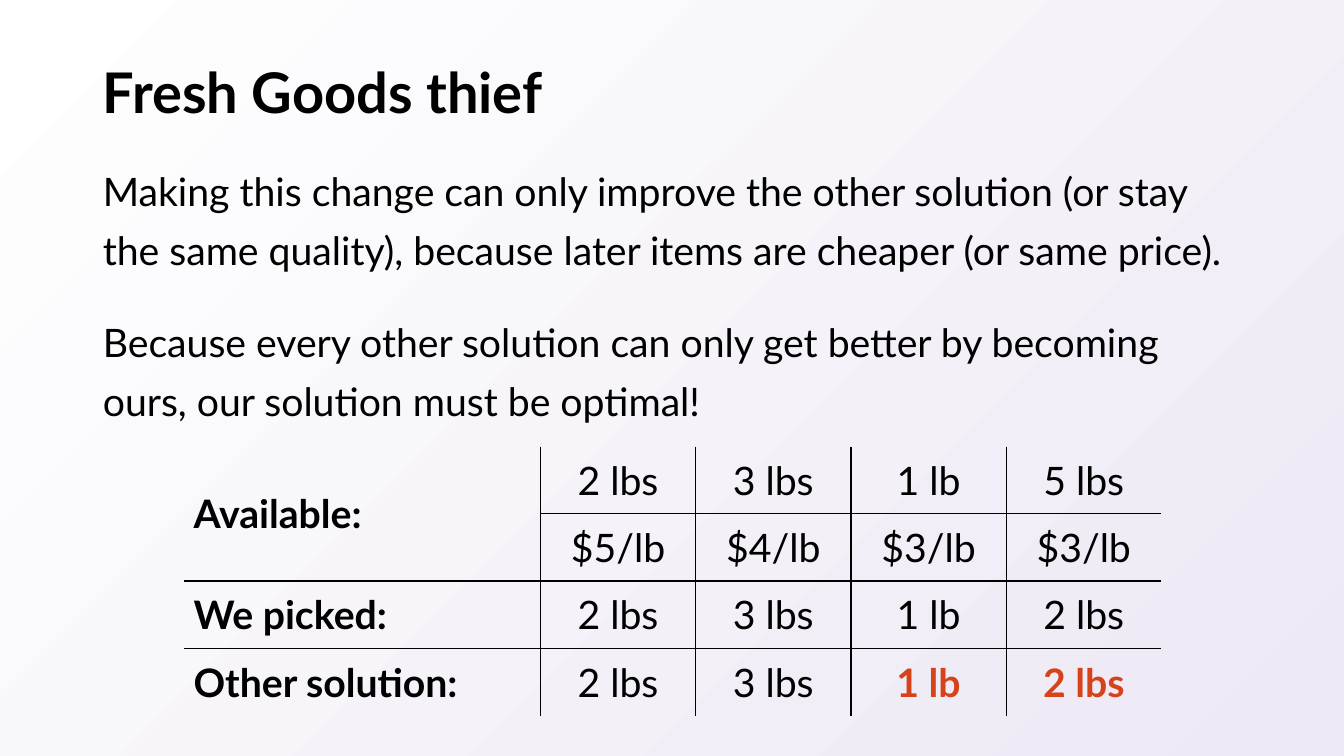
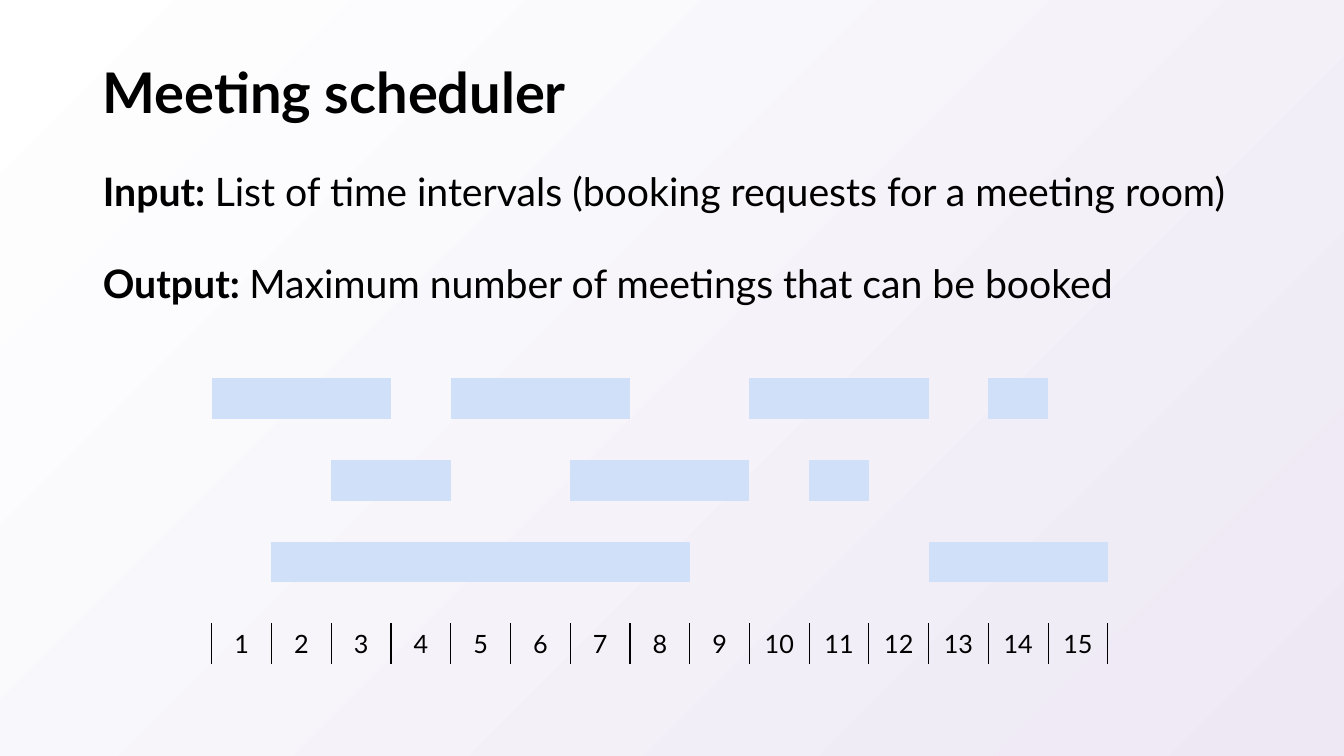
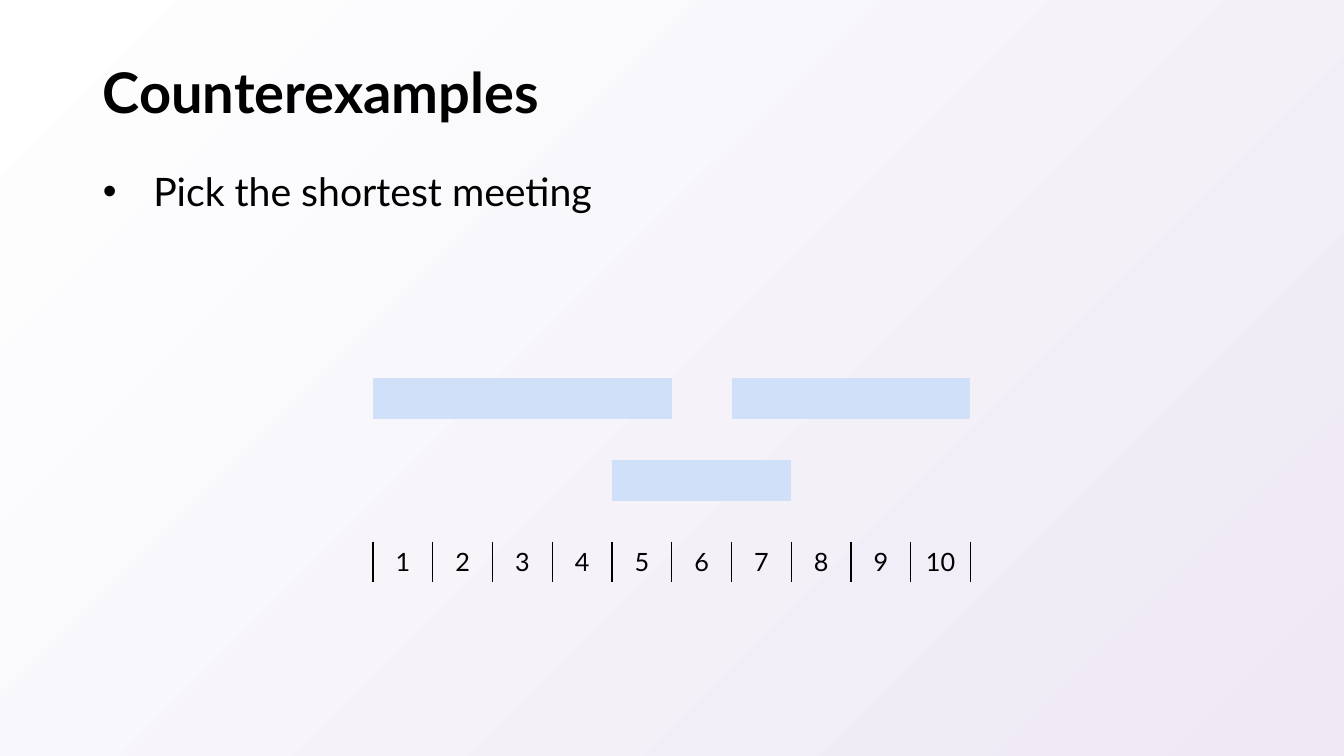
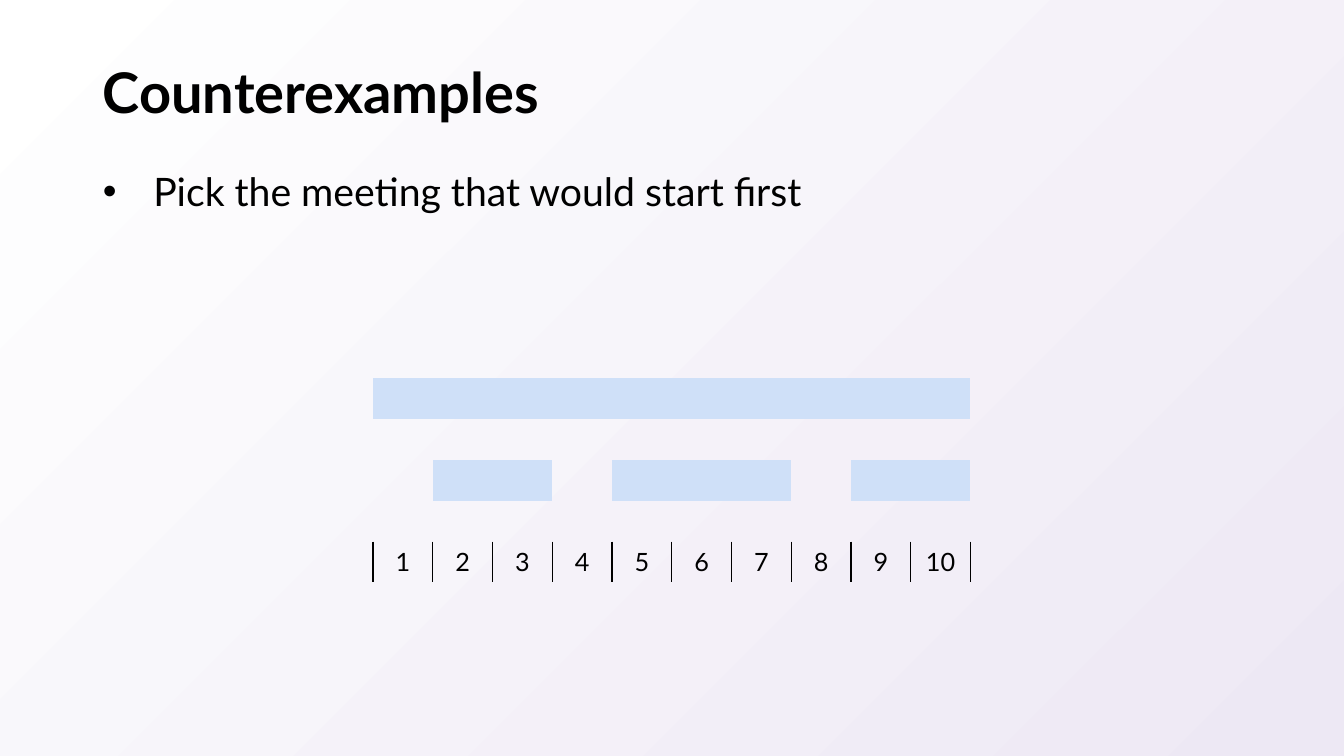
from lxml import etree
from pptx import Presentation
from pptx.dml.color import RGBColor
from pptx.enum import text as t
from pptx.oxml.ns import qn
from pptx.util import Inches, Pt

COLORS = {"ink": "000000", "bar": "CFE0F8", "hot": "D6431A",
          "light": "FFFFFF", "tint": "EDE8F4"}
FONT = "Lato"
PLAIN_TABLE = "{2D5ABB26-0587-4C30-8999-92F81FD0307C}"


def rgb(name):
    return RGBColor.from_string(COLORS[name])


class Deck:
    """Holds the shared style and the current slide."""

    def __init__(self):
        self.prs = Presentation()
        self.prs.slide_width = Inches(13.33)
        self.prs.slide_height = Inches(7.5)
        # Background shared by all slides
        fill = self.prs.slide_master.background.fill
        fill.gradient()
        fill.gradient_angle = 315
        for stop, name, pos in zip(fill.gradient_stops, ("light", "tint"), (0, 1)):
            stop.color.rgb = rgb(name)
            stop.position = pos

    def run(self, para, words, size=28, bold=False, color="ink"):
        run = para.add_run()
        run.text = words
        font = run.font
        font.name, font.size, font.bold = FONT, Pt(size), bold
        font.color.rgb = rgb(color)

    def place(self, shape, top, height):
        shape.left, shape.top = Inches(0.92), Inches(top)
        shape.width, shape.height = Inches(11.5), Inches(height)
        shape.text_frame.auto_size = t.MSO_AUTO_SIZE.NONE
        return shape.text_frame

    def start(self, title):
        self.slide = self.prs.slides.add_slide(self.prs.slide_layouts[1])
        frame = self.place(self.slide.shapes.title, 0.4, 1.09)
        frame.vertical_anchor = t.MSO_ANCHOR.MIDDLE
        para = frame.paragraphs[0]
        para.alignment = t.PP_ALIGN.LEFT
        para.line_spacing = 0.9
        self.run(para, title, 40, True)

    def body(self, items, height=5.26, bullet=False):
        """Each item is a pair: bold lead (may be empty) and plain words."""
        frame = self.place(self.slide.placeholders[1], 1.49, height)
        for i, (lead, words) in enumerate(items):
            para = frame.add_paragraph() if i else frame.paragraphs[0]
            para.line_spacing, para.space_before = 1.25, Pt(24)
            props = para._p.get_or_add_pPr()
            indent = Inches(0.5) if bullet else 0
            props.set("marL", str(indent))
            props.set("indent", str(-indent))
            if bullet:
                etree.SubElement(props, qn("a:buChar")).set("char", "•")
            else:
                etree.SubElement(props, qn("a:buNone"))
            if lead:
                self.run(para, lead, bold=True)
            self.run(para, words)

    def table(self, rows, cols, left, top, width, height):
        frame = self.slide.shapes.add_table(
            rows, cols, Inches(left), Inches(top), Inches(width), Inches(height))
        table = frame.table
        table.first_row = table.horz_banding = False
        table._tbl.tblPr.find(qn("a:tableStyleId")).text = PLAIN_TABLE
        for cell in table.iter_cells():
            cell.fill.background()
        return table

    def edges(self, cell, sides):
        """Draw the given sides, listed in the order L, R, T, B."""
        props = cell._tc.get_or_add_tcPr()
        for i, side in enumerate(sides):
            line = etree.Element(qn("a:ln" + side), w=str(Pt(1)))
            fill = etree.SubElement(line, qn("a:solidFill"))
            etree.SubElement(fill, qn("a:srgbClr")).set("val", COLORS["ink"])
            props.insert(i, line)

    def grid(self, data, hot):
        """Table with inner rules; the first label spans two rows."""
        rows, cols = len(data), len(data[0])
        table = self.table(rows, cols, 1.82, 4.43, 9.7, 2.67)
        for c, col in enumerate(table.columns):
            col.width = Inches(1.54 if c else 3.54)
        table.cell(0, 0).merge(table.cell(1, 0))
        for r, row in enumerate(data):
            for c, words in enumerate(row):
                cell = table.cell(r, c)
                inner = {"L": c > 0, "R": c < cols - 1,
                         "T": r > 0 and not cell.is_spanned, "B": r < rows - 1}
                self.edges(cell, [side for side in inner if inner[side]])
                if cell.is_spanned:
                    continue
                cell.vertical_anchor = t.MSO_ANCHOR.MIDDLE
                cell.margin_left = cell.margin_right = Inches(0.1)
                cell.margin_top = cell.margin_bottom = Inches(0.1)
                para = cell.text_frame.paragraphs[0]
                para.alignment = t.PP_ALIGN.CENTER if c else t.PP_ALIGN.LEFT
                mark = (r, c) in hot
                self.run(para, words, bold=mark or c == 0,
                         color="hot" if mark else "ink")

    def times(self, count, left, lanes):
        """Lanes of (first, last) hours above a numbered scale."""
        rows = 2 * len(lanes) + 1
        table = self.table(rows, count, left, 3.75,
                           count * 8.89 / 15, rows * 2.84 / 7)
        for i, lane in enumerate(lanes):
            for first, last in lane:
                for hour in range(first, last + 1):
                    fill = table.cell(2 * i, hour - 1).fill
                    fill.solid()
                    fill.fore_color.rgb = rgb("bar")
        for c in range(count):
            cell = table.cell(rows - 1, c)
            self.edges(cell, "LR")
            para = cell.text_frame.paragraphs[0]
            para.alignment = t.PP_ALIGN.CENTER
            self.run(para, str(c + 1), 18)


def main():
    deck = Deck()

    # Greedy proof with the table of picks
    deck.start("Fresh Goods thief")
    deck.body([
        ("", "Making this change can only improve the other solution (or stay "
             "the same quality), because later items are cheaper (or same price)."),
        ("", "Because every other solution can only get better by becoming "
             "ours, our solution must be optimal!")])
    deck.grid([
        ["Available:", "2 lbs", "3 lbs", "1 lb", "5 lbs"],
        ["", "$5/lb", "$4/lb", "$3/lb", "$3/lb"],
        ["We picked:", "2 lbs", "3 lbs", "1 lb", "2 lbs"],
        ["Other solution:", "2 lbs", "3 lbs", "1 lb", "2 lbs"]],
        hot={(3, 3), (3, 4)})

    # Problem statement
    deck.start("Meeting scheduler")
    deck.body([
        ("Input: ", "List of time intervals (booking requests for a meeting room)"),
        ("Output: ", "Maximum number of meetings that can be booked")], 1.84)
    deck.times(15, 2.1, [[(1, 3), (5, 7), (10, 12), (14, 14)],
                         [(3, 4), (7, 9), (11, 11)],
                         [(2, 8), (13, 15)]])

    # Counterexamples
    for words, lanes in (
            ("Pick the shortest meeting", [[(1, 5), (7, 10)], [(5, 7)]]),
            ("Pick the meeting that would start first",
             [[(1, 10)], [(2, 3), (5, 7), (9, 10)]])):
        deck.start("Counterexamples")
        deck.body([("", words)], bullet=True)
        deck.times(10, 3.7, lanes)

    deck.prs.save("out.pptx")


if __name__ == "__main__":
    main()
